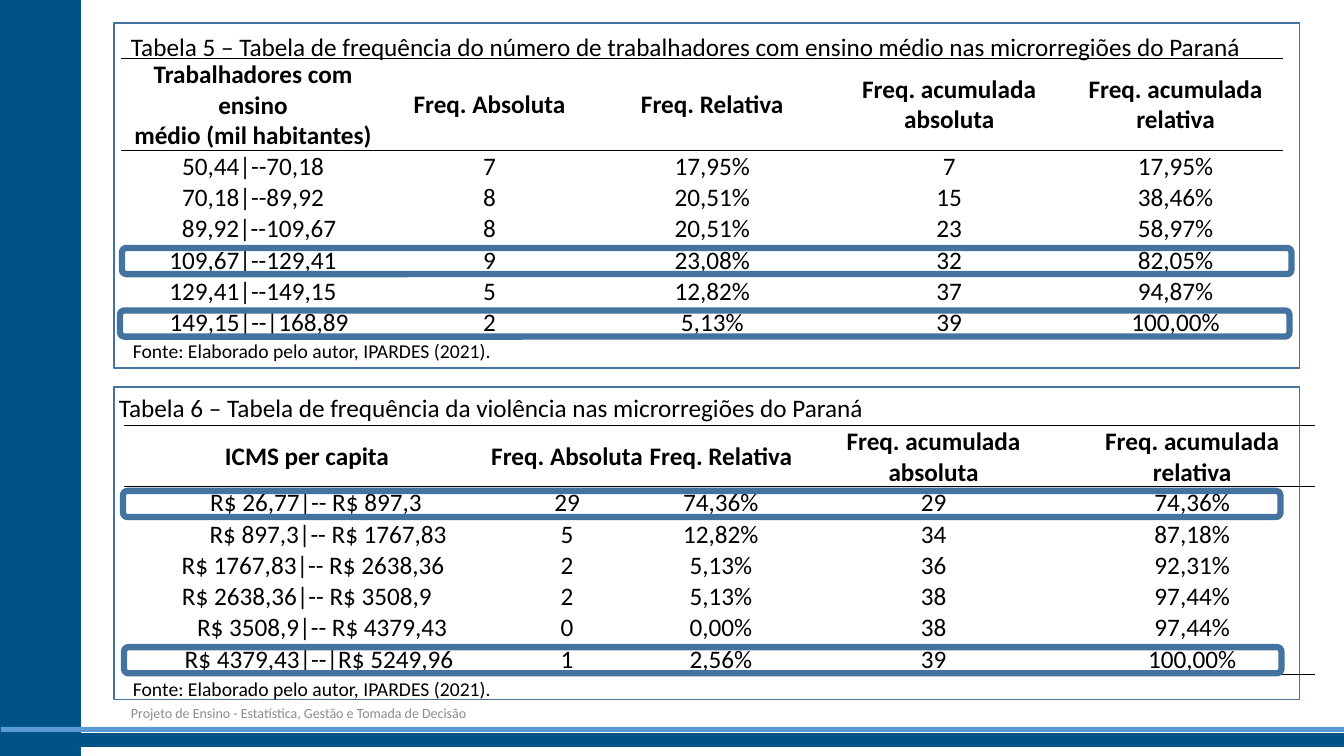
from lxml.etree import SubElement
from pptx import Presentation
from pptx.dml.color import RGBColor
from pptx.enum.shapes import MSO_SHAPE
from pptx.enum.text import MSO_ANCHOR, PP_ALIGN
from pptx.oxml.ns import qn
from pptx.util import Inches, Pt

NAVY = RGBColor(0x00, 0x53, 0x88)
SKY = RGBColor(0x5B, 0x9B, 0xD5)
STEEL = RGBColor(0x43, 0x73, 0x9E)
WHITE = RGBColor(0xFF, 0xFF, 0xFF)
BLACK = RGBColor(0x00, 0x00, 0x00)
GRAY = RGBColor(0x8C, 0x8C, 0x8C)
FONT = "Calibri"
PLAIN = "{2D5ABB26-0587-4C30-8999-92F81FD0307C}"
ROW = 0.31
SPACE = 0.06
SOURCE = "Fonte: Elaborado pelo autor, IPARDES (2021)."
ACCUM = ["Freq. acumulada\vabsoluta", "Freq. acumulada\vrelativa"]
FREQS = ["Freq. Absoluta", "Freq. Relativa"] + ACCUM

# Boxes are left, top, width, height; those of parts are relative to the panel.
# "indent" shifts the class labels, counted in space widths.
WORK = {
    "box": (1.13, 0.23, 11.76, 3.42),
    "title": "Tabela 5 – Tabela de frequência do número de trabalhadores "
             "com ensino médio nas microrregiões do Paraná",
    "title_box": (0.07, 0.03, 11.28, 0.71),
    "wrap": False,
    "source_box": (0.09, 3.08, 3.79, 0.34),
    "grid": (0.07, 0.35),
    "cols": (2.62, 2.07, 2.35, 2.35, 2.14),
    "head": 0.91,
    "marks": {4: (0.08, 11.6), 6: (0.06, 11.6)},
    "indent": (0, 0, 2, 0, 0, 2),
    "rows": [
        ["Trabalhadores com ensino\vmédio (mil habitantes)"] + FREQS,
        ["50,44|--70,18", "7", "17,95%", "7", "17,95%"],
        ["70,18|--89,92", "8", "20,51%", "15", "38,46%"],
        ["89,92|--109,67", "8", "20,51%", "23", "58,97%"],
        ["109,67|--129,41", "9", "23,08%", "32", "82,05%"],
        ["129,41|--149,15", "5", "12,82%", "37", "94,87%"],
        ["149,15|--|168,89", "2", "5,13%", "39", "100,00%"],
    ],
}
TAX = {
    "box": (1.13, 3.84, 11.76, 3.1),
    "title": "Tabela 6 – Tabela de frequência da violência nas "
             "microrregiões do Paraná",
    "title_box": (-0.05, 0, 11.59, 0.4),
    "wrap": True,
    "source_box": (0.09, 2.83, 3.79, 0.34),
    "grid": (0.1, 0.38),
    "cols": (3.63, 1.53, 1.52, 2.7, 2.43),
    "head": 0.61,
    "marks": {1: (0.09, 11.48), 6: (0.1, 11.48)},
    "indent": (3, 7, 2, 0, 5, 4),
    "rows": [
        ["ICMS per capita"] + FREQS,
        ["R$ 26,77|-- R$ 897,3", "29", "74,36%", "29", "74,36%"],
        ["R$ 897,3|-- R$ 1767,83", "5", "12,82%", "34", "87,18%"],
        ["R$ 1767,83|-- R$ 2638,36", "2", "5,13%", "36", "92,31%"],
        ["R$ 2638,36|-- R$ 3508,9", "2", "5,13%", "38", "97,44%"],
        ["R$ 3508,9|-- R$ 4379,43", "0", "0,00%", "38", "97,44%"],
        ["R$ 4379,43|--|R$ 5249,96", "1", "2,56%", "39", "100,00%"],
    ],
}


def add_box(slide, box, fill=None, line=None, width=1, kind=MSO_SHAPE.RECTANGLE):
    shape = slide.shapes.add_shape(kind, *map(Inches, box))
    shape.shadow.inherit = False
    for part, color in ((shape.fill, fill), (shape.line.fill, line)):
        if color is None:
            part.background()
        else:
            part.solid()
            part.fore_color.rgb = color
    if line is not None:
        shape.line.width = Pt(width)


def style(frame, size, color=BLACK, bold=False, align=PP_ALIGN.LEFT):
    for para in frame.paragraphs:
        para.alignment = align
        looks = {"name": FONT, "size": Pt(size), "bold": bold}
        for run in para.runs:
            for name, value in looks.items():
                setattr(run.font, name, value)
            run.font.color.rgb = color


def add_text(slide, box, text, size, color=BLACK, wrap=True, anchor=MSO_ANCHOR.TOP):
    frame = slide.shapes.add_textbox(*map(Inches, box)).text_frame
    frame.text = text
    frame.word_wrap = wrap
    frame.vertical_anchor = anchor
    style(frame, size, color)


def add_rule(cell, side):
    """Draw a black border on one side of a cell, lnT or lnB."""
    props = cell._tc.get_or_add_tcPr()
    line = SubElement(props, qn(f"a:{side}"), w=str(Pt(1)))
    fill = SubElement(line, qn("a:solidFill"))
    SubElement(fill, qn("a:srgbClr"), val=str(BLACK))


def fill_cell(cell, text, head, last, indent):
    cell.text = text
    layout = {
        "margin_left": Inches(0.01 + indent * SPACE),
        "margin_right": Inches(0.01),
        "margin_top": Inches(0.01),
        "margin_bottom": 0,
        "vertical_anchor": MSO_ANCHOR.MIDDLE,
    }
    for name, value in layout.items():
        setattr(cell, name, value)
    if head:
        add_rule(cell, "lnT")
    if head or last:
        add_rule(cell, "lnB")
    cell.fill.background()
    style(cell.text_frame, 18, bold=head, align=PP_ALIGN.CENTER)


def add_grid(slide, left, top, data):
    rows, cols = data["rows"], data["cols"]
    last = len(rows) - 1
    size = (sum(cols), data["head"] + last * ROW)
    frame = slide.shapes.add_table(
        len(rows), len(cols), *map(Inches, (left, top, *size)))
    table = frame.table
    table.first_row = table.horz_banding = False
    table._tbl.tblPr.find(qn("a:tableStyleId")).text = PLAIN
    for col, width in zip(table.columns, cols):
        col.width = Inches(width)
    for r, texts in enumerate(rows):
        table.rows[r].height = Inches(ROW if r else data["head"])
        for c, text in enumerate(texts):
            indent = data["indent"][r - 1] if r and c == 0 else 0
            fill_cell(table.cell(r, c), text, r == 0, r == last, indent)


def add_panel(slide, data):
    """Place a framed table with its caption, source and marked rows."""
    left, top, width, height = data["box"]

    def inside(box):
        return (left + box[0], top + box[1], *box[2:])

    add_box(slide, data["box"], WHITE, STEEL)
    add_text(slide, inside(data["title_box"]), data["title"], 18, wrap=data["wrap"])
    add_text(slide, inside(data["source_box"]), SOURCE, 14, wrap=False)
    add_grid(slide, *inside(data["grid"]), data)
    body = data["grid"][1] + data["head"]
    for row, (x, span) in data["marks"].items():
        y = body + (row - 1) * ROW + 0.04
        add_box(slide, inside((x, y, span, 0.26)), line=STEEL, width=4.5,
                kind=MSO_SHAPE.ROUNDED_RECTANGLE)


def add_frame(slide, width, height):
    add_box(slide, (0, 0, 0.8, height), NAVY, NAVY)
    add_box(slide, (0, height - 0.22, width, 0.12), NAVY, NAVY)
    add_box(slide, (0.01, height - 0.29, width, 0.05), SKY)


def main():
    deck = Presentation()
    deck.slide_width, deck.slide_height = Inches(13.33), Inches(7.5)
    slide = deck.slides.add_slide(deck.slide_layouts[6])
    add_frame(slide, 13.33, 7.5)
    for data in (WORK, TAX):
        add_panel(slide, data)
    add_text(slide, (1.2, 6.87, 11.51, 0.4),
             "Projeto de Ensino - Estatística, Gestão e Tomada de Decisão",
             10, GRAY, anchor=MSO_ANCHOR.MIDDLE)
    deck.save("out.pptx")


if __name__ == "__main__":
    main()
